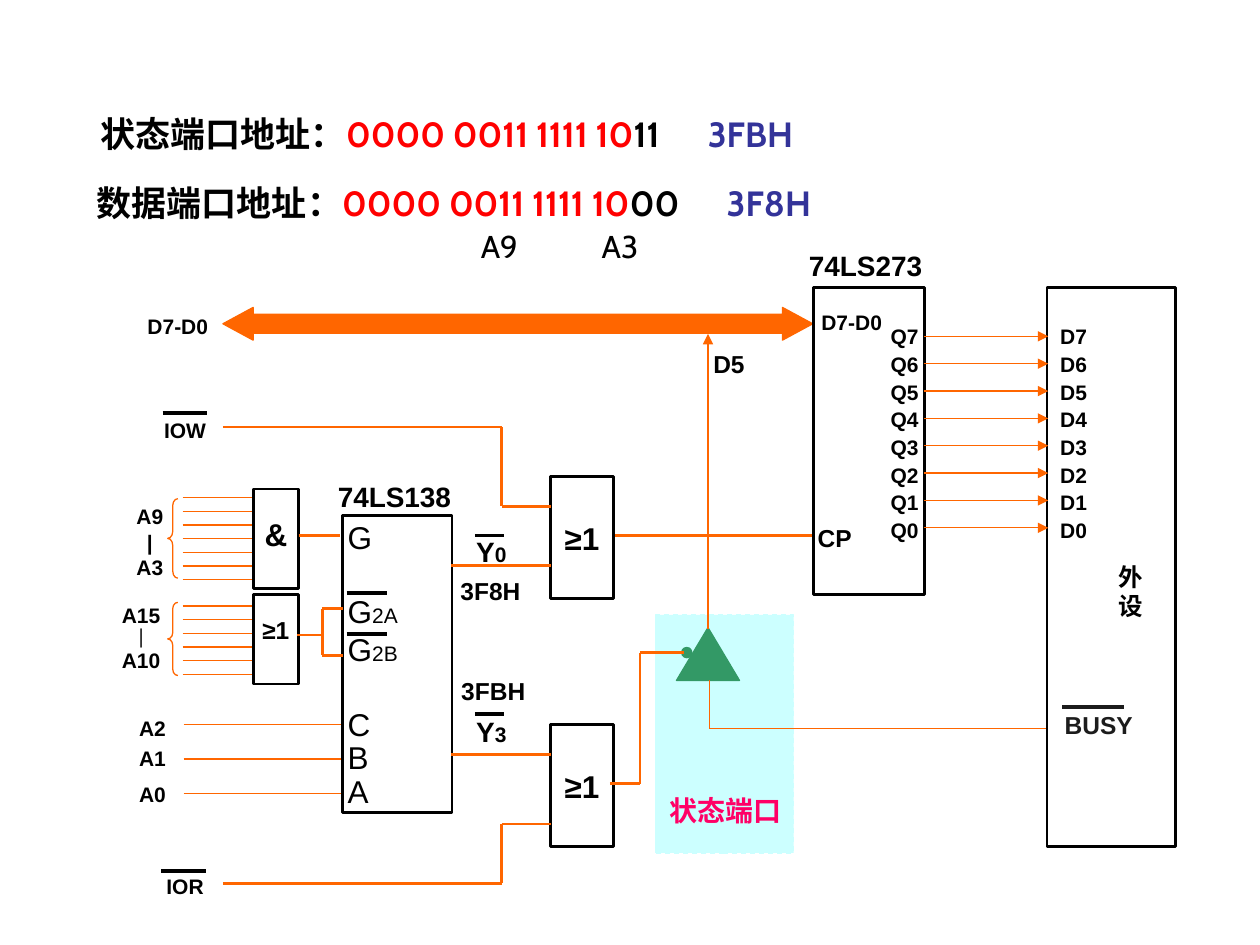
from lxml.etree import SubElement
from pptx import Presentation
from pptx.dml.color import RGBColor
from pptx.enum.dml import MSO_LINE
from pptx.enum.shapes import MSO_CONNECTOR as Link, MSO_SHAPE as Form
from pptx.enum.text import MSO_ANCHOR as Anchor, PP_ALIGN as Align
from pptx.oxml.ns import qn
from pptx.util import Pt

BLACK = RGBColor(0x00, 0x00, 0x00)
SOFT = RGBColor(0x1C, 0x1C, 0x1C)
ORANGE = RGBColor(0xFF, 0x66, 0x00)
GREEN = RGBColor(0x33, 0x99, 0x66)
CYAN = RGBColor(0xCC, 0xFF, 0xFF)
PINK = RGBColor(0xFF, 0x00, 0x66)
RED = RGBColor(0xFF, 0x00, 0x00)
BLUE = RGBColor(0x33, 0x33, 0x99)
LEFT, MID, RIGHT = Align.LEFT, Align.CENTER, Align.RIGHT


class Board:
    """Draws on one slide; every length is in points."""
    thin, thick, bar = 0.75, 1.5, 2.25
    font = "Arial"

    def __init__(self, slide):
        self.items = slide.shapes

    def shape(self, form, x, y, w, h, fill=None, line=BLACK, width=thick, adj=()):
        item = self.items.add_shape(form, Pt(x), Pt(y), Pt(w), Pt(h))
        item.shadow.inherit = False
        if fill is None:
            item.fill.background()
        else:
            item.fill.solid()
            item.fill.fore_color.rgb = fill
        item.line.color.rgb = line
        item.line.width = Pt(width)
        for i, value in enumerate(adj):
            item.adjustments[i] = value
        return item

    def wire(self, *points, width=thick, color=ORANGE, arrow=False):
        for (x1, y1), (x2, y2) in zip(points, points[1:]):
            link = self.items.add_connector(
                Link.STRAIGHT, Pt(x1), Pt(y1), Pt(x2), Pt(y2))
            link.line.color.rgb = color
            link.line.width = Pt(width)
            if arrow:
                SubElement(link.line._get_or_add_ln(), qn("a:tailEnd"), type="triangle")
            SubElement(link._element.spPr, qn("a:effectLst"))

    def over(self, x1, x2, y, color=BLACK):
        self.wire((x1, y), (x2, y), width=self.bar, color=color)

    def label(self, frame, lines, size=12, bold=True, align=MID, color=BLACK,
              font=None, pad=(0, 0, 0, 0), space=None, before=None, tab=None):
        """Each line is a string or a list of (text, changes) runs."""
        frame.word_wrap = True
        frame.vertical_anchor = Anchor.TOP
        (frame.margin_left, frame.margin_top,
         frame.margin_right, frame.margin_bottom) = map(Pt, pad)
        for i, line in enumerate(lines):
            para = frame.add_paragraph() if i else frame.paragraphs[0]
            if tab:
                stops = SubElement(para._p.get_or_add_pPr(), qn("a:tabLst"))
                SubElement(stops, qn("a:tab"), pos=str(Pt(tab)), algn="l")
            para.alignment = align
            if space:
                para.line_spacing = space[i] if isinstance(space, list) else space
            if before and i in before:
                para.space_before = Pt(before[i])
            for text, look in [(line, {})] if isinstance(line, str) else line:
                run = para.add_run()
                run.text = text
                run.font.name = look.get("font", font or self.font)
                run.font.size = Pt(look.get("size", size))
                run.font.bold = bold
                run.font.color.rgb = look.get("color", color)

    def text(self, x, y, w, h, *lines, **look):
        box = self.items.add_textbox(Pt(x), Pt(y), Pt(w), Pt(h))
        self.label(box.text_frame, lines, **look)

    def gate(self, x, y, w, h, sign, top, size=18):
        item = self.shape(Form.RECTANGLE, x, y, w, h)
        self.label(item.text_frame, [sign], size=size, pad=(0, top, 0, 0))


def main():
    deck = Presentation()
    deck.slide_width, deck.slide_height = Pt(720), Pt(540)
    board = Board(deck.slides.add_slide(deck.slide_layouts[6]))
    roomy = (7.2, 3.6, 7.2, 3.6)

    # Status port: shaded area and tri-state buffer
    area = board.shape(Form.RECTANGLE, 374.4, 351.4, 79.2, 136, CYAN, CYAN, board.thin)
    area.line.dash_style = MSO_LINE.DASH
    board.shape(Form.ISOSCELES_TRIANGLE, 386.6, 358.6, 36, 30.2, GREEN, GREEN, board.thin)
    board.shape(Form.OVAL, 389.5, 370, 5.8, 5.8, GREEN, GREEN, board.thin)
    board.text(382.3, 453.6, 64.8, 16.6, "状态端口", size=16, color=PINK,
               font="Times New Roman")
    board.wire((405.4, 388.8), (405.4, 416.2), (598.3, 416.2), width=board.thin)

    # Data bus
    board.text(76.3, 175.7, 49.7, 23, "D7-D0", align=RIGHT, pad=roomy)
    board.shape(Form.LEFT_RIGHT_ARROW, 127.4, 175.7, 337, 18.7, ORANGE, ORANGE,
                board.thin, (0.578, 0.924))
    board.text(405.4, 199.4, 22.3, 19.4, "D5", size=14)
    board.wire((404.6, 359.3), (404.6, 190.8), arrow=True)

    # Address inputs
    for first, count in ((284.4, 7), (346.3, 6)):
        for i in range(count):
            y = first + 7.8 * i
            board.wire((104.4, y), (144, y), width=board.thin)
    for y, h, curve in ((285, 45.4, 0.672), (344.2, 41.8, 0.618)):
        board.shape(Form.LEFT_BRACE, 95.8, y, 5.8, h, None, ORANGE, board.thin,
                    (curve, 0.5))
    board.text(76.3, 288, 18.7, 45.4, "A9", "|", "A3")
    board.text(68.4, 344.2, 24.5, 43.2, "A15", [("|", {"font": "Times New Roman"})],
               "A10", space=[1.0, 0.8, 1.0])
    board.text(74.9, 406, 24.5, 51, "A2", "A1", "A0", space=1.2, before={2: 3})
    for i in range(3):
        y = 414 + 19.8 * i
        board.wire((105, y), (195.8, y), width=board.thin)

    # Gates
    board.gate(144.7, 279.4, 25.9, 56.9, "&", 15)
    board.gate(144.7, 339.8, 25.9, 51, "≥1", 11.5, 14)
    for y in (272.2, 414):
        board.gate(314.6, y, 36, 69.8, "≥1", 24.3)

    # Decoder
    chip = board.shape(Form.RECTANGLE, 195.8, 294.5, 62.6, 170)
    small = {"size": 12}
    board.label(chip.text_frame,
                ["G", [("G", {}), ("2A", small)], [("G", {}), ("2B", small)],
                 "C", "B", "A"],
                size=18, bold=False, align=LEFT, pad=(2.9, 0, 0, 0),
                space=[1.0, 1.0, 1.0, 1.0, 0.9, 0.9], before={1: 21, 3: 21})
    chip.text_frame.vertical_anchor = Anchor.MIDDLE
    chip.text_frame.word_wrap = False
    for y in (339, 362.2):
        board.over(198, 221, y)
    board.text(193, 274.3, 73.4, 19.4, "74LS138", size=16, align=LEFT)

    # Decoder outputs
    for digit, y, bar, wire in (("0", 305.3, 306, 323.3), ("3", 408.2, 408.2, 431.3)):
        board.text(269.3, y, 23, 19.4, [("Y", {}), (digit, small)], size=16)
        board.over(271.4, 288, bar)
        board.wire((257.8, wire), (314.6, wire))
    board.text(257.8, 329, 39.6, 17.3, "3F8H", size=14, align=RIGHT)
    board.text(260.6, 386.6, 39.6, 17.3, "3FBH", size=14, align=RIGHT)

    # Gate wiring
    board.wire((170.6, 306), (194.4, 306))
    board.wire((195.8, 347.8), (184.3, 347.8), (184.3, 374.4), (195.8, 374.4))
    board.wire((184.3, 362.9), (170, 362.9))
    board.wire((351.4, 306), (464.4, 306))
    board.wire((348.5, 447.8), (365.8, 447.8), (365.8, 373), (391, 373))

    # Read and write strobes
    for name, y, bar, x, wire, pin in (("IOW", 238.3, 236.2, 92.9, 244, 289.4),
                                       ("IOR", 499, 497.5, 92.2, 504.7, 470.9)):
        board.text(87.8, y, 36, 15, name)
        board.over(x, x + 25.6, bar)
        board.wire((127.4, wire), (286.6, wire), (286.6, pin), (314.6, pin))

    # Output latch
    board.shape(Form.RECTANGLE, 465, 164.2, 63.4, 175.7)
    board.text(462.2, 141.8, 73.4, 19.4, "74LS273", size=16, align=LEFT)
    board.text(468.7, 177, 35.3, 14.4, "D7-D0", align=RIGHT)
    board.text(465.8, 298.8, 22.3, 17.3, "CP", size=14)
    bits = range(7, -1, -1)
    board.text(507.6, 183.6, 17.3, 127.4, *(f"Q{i}" for i in bits),
               align=RIGHT, space=1.1)

    # Peripheral
    board.shape(Form.RECTANGLE, 598.3, 164.2, 73.4, 319.7)
    board.text(603.4, 183.6, 20.2, 130.3, *(f"D{i}" for i in bits), space=1.1)
    for i in range(8):
        y = 192.2 + 15.63 * i
        board.wire((527.8, y), (599, y), width=board.thin, arrow=True)
    board.text(632.2, 317.5, 27.4, 54.7, "外设", size=14, align=Align.JUSTIFY,
               font="Times New Roman", pad=roomy)
    board.text(608.4, 406, 43.2, 18.7, "BUSY", size=14, align=Align.JUSTIFY, color=SOFT)
    board.over(607, 642.2, 403.9, SOFT)

    # Port addresses
    for x, y, name, low, code, tab in (
            (50.4, 60.5, "状态端口地址：", "11", "3FBH", 347),
            (48.2, 100, "数据端口地址：", "00", "3F8H", 360)):
        board.text(x, y, 470, 31.4,
                   [(name, {}), ("0000 0011 1111 10", {"color": RED}),
                    (low + "\t", {}), (code, {"color": BLUE})],
                   size=20, align=LEFT, font="Cabin", pad=roomy, tab=tab)
    board.text(267.8, 126, 124.6, 28.8, "A9\tA3", size=18, bold=False, align=LEFT,
               font="Cabin", pad=roomy, tab=69)

    deck.save("out.pptx")


if __name__ == "__main__":
    main()
